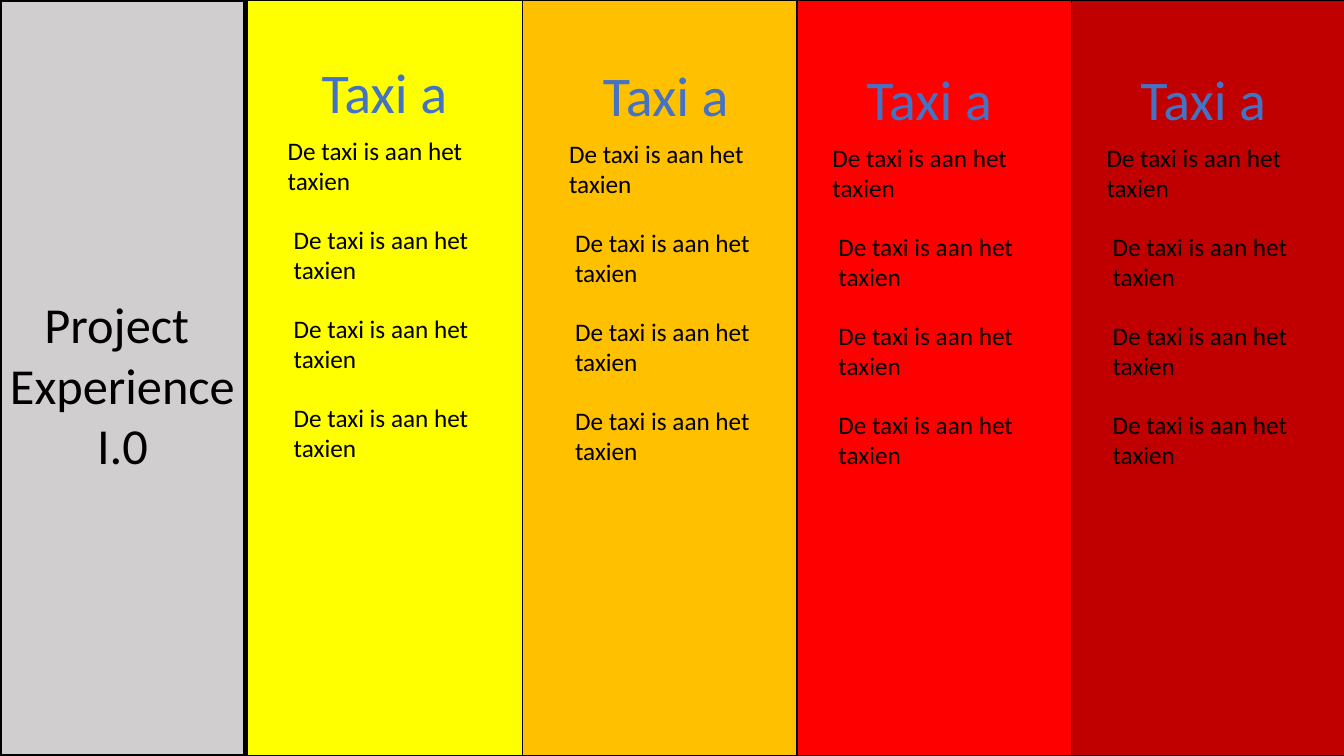
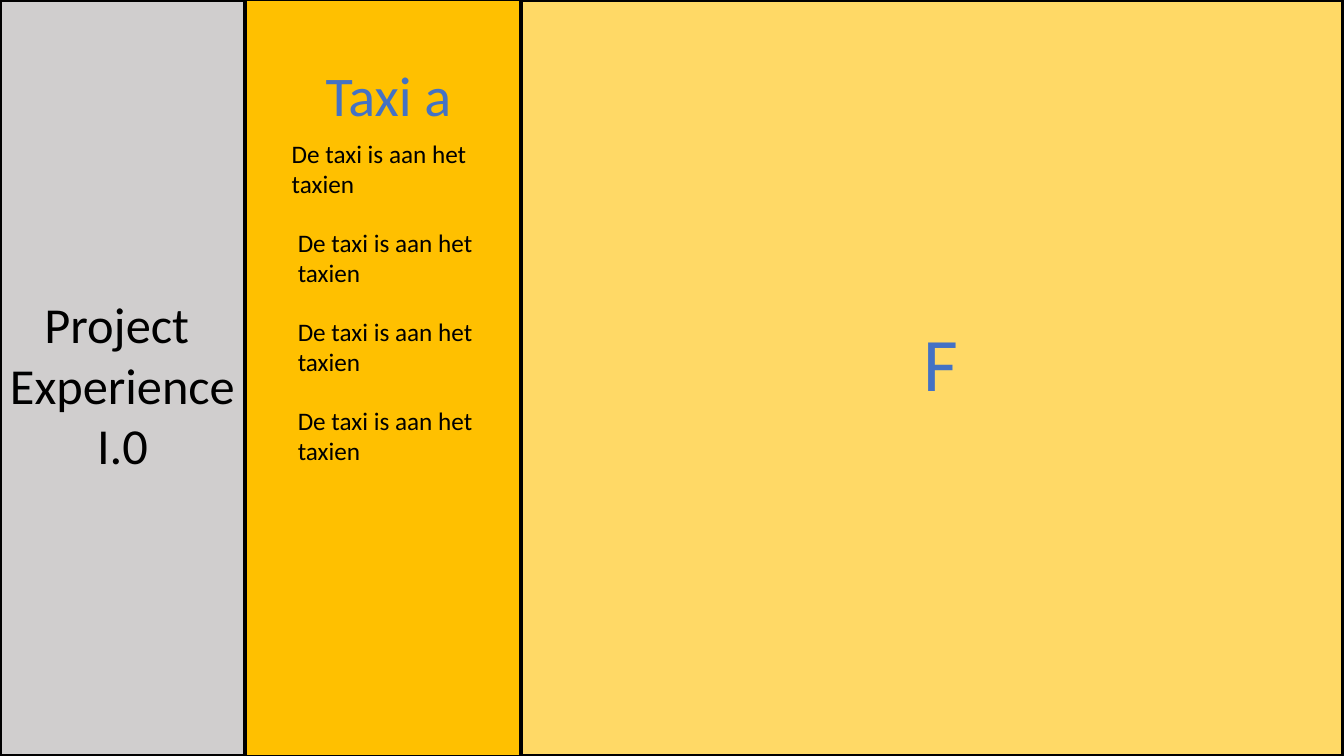
"""Build a two-slide deck of coloured taxi columns beside a project title."""
from dataclasses import dataclass

from pptx import Presentation
from pptx.dml.color import RGBColor
from pptx.enum import shapes, text
from pptx.util import Pt


@dataclass(frozen=True)
class Theme:
    font: str = "Calibri"
    ink: str = "000000"
    accent: str = "4472C4"
    backdrop_edge: str = "325491"
    sidebar: str = "D0CECE"
    panel: str = "FFD966"
    yellow: str = "FFFF00"
    orange: str = "FFC000"
    red: str = "FF0000"
    dark_red: str = "C00000"
    item_size: float = 18
    title_size: float = 36
    heading_size: float = 40
    letter_size: float = 54
    thin: float = 1
    thick: float = 2.25


THEME = Theme()
WIDTH, HEIGHT = 960, 540
BAND_WIDTH, BAND_STEP = 196.5, 196.1
SIDEBAR_WIDTH = 175
PANEL_LEFT, PANEL_WIDTH = 372.4, 586.8
HEADING_WIDTH, HEADING_HEIGHT = 235.4, 55.7
ITEM_WIDTH, ITEM_HEIGHT, ITEM_STEP = 154.8, 50.9, 63.5
ITEM_INDENTS = (41.5, 45.8, 45.8, 45.8)

PROJECT = ("Project ", "Experience", "I.0")
HEADING = "Taxi a"
ITEM = "De taxi is aan het taxien"
LETTER = "F"

YELLOW = dict(fill=THEME.yellow, shift=-20.1, top=37.4)
ORANGE = dict(fill=THEME.orange, shift=-15.2, top=39.7)
RED = dict(fill=THEME.red, shift=-23.2, top=42.3)
DARK_RED = dict(fill=THEME.dark_red, shift=-23.5, top=42.3)

SLIDES = (
    dict(columns=(YELLOW, ORANGE, RED, DARK_RED), left=177, letter=None),
    dict(columns=(ORANGE,), left=175, letter=LETTER),
)


def add_block(parent, left, width, fill, line=THEME.ink, weight=THEME.thin):
    block = parent.add_shape(
        shapes.MSO_SHAPE.RECTANGLE, Pt(left), 0, Pt(width), Pt(HEIGHT))
    block.shadow.inherit = False
    block.fill.solid()
    block.fill.fore_color.rgb = RGBColor.from_string(fill)
    block.line.color.rgb = RGBColor.from_string(line)
    block.line.width = Pt(weight)


def add_text(parent, lines, box, size, color=THEME.ink, centered=True, wrap=True):
    frame = parent.add_textbox(*map(Pt, box)).text_frame
    frame.word_wrap = wrap
    frame.auto_size = text.MSO_AUTO_SIZE.SHAPE_TO_FIT_TEXT
    for index, line in enumerate(lines):
        paragraph = frame.add_paragraph() if index else frame.paragraphs[0]
        paragraph.alignment = text.PP_ALIGN.CENTER if centered else text.PP_ALIGN.LEFT
        run = paragraph.add_run()
        run.text = line
        run.font.name = THEME.font
        run.font.size = Pt(size)
        run.font.color.rgb = RGBColor.from_string(color)


def add_column(slide, left, fill, shift, top):
    column = slide.shapes.add_group_shape().shapes
    add_block(column, left, BAND_WIDTH, fill)
    heading_left = left + shift
    add_text(column, [HEADING], (heading_left, top, HEADING_WIDTH, HEADING_HEIGHT),
             THEME.heading_size, color=THEME.accent)
    for row, indent in enumerate(ITEM_INDENTS):
        item_top = top + HEADING_HEIGHT + row * ITEM_STEP
        add_text(column, [ITEM], (heading_left + indent, item_top, ITEM_WIDTH, ITEM_HEIGHT),
                 THEME.item_size, centered=False)


def add_sidebar(slide):
    add_block(slide.shapes, 0, SIDEBAR_WIDTH, THEME.sidebar, weight=THEME.thick)
    add_text(slide.shapes, PROJECT, (-0.7, 205.9, 176.4, 138.2),
             THEME.title_size, wrap=False)


def add_panel(slide, letter):
    panel = slide.shapes.add_group_shape().shapes
    add_block(panel, PANEL_LEFT, PANEL_WIDTH, THEME.panel, weight=THEME.thick)
    add_text(panel, [letter], (652.3, 221.8, 39.6, 72.7),
             THEME.letter_size, color=THEME.accent, wrap=False)


def main():
    deck = Presentation()
    deck.slide_width, deck.slide_height = Pt(WIDTH), Pt(HEIGHT)
    for content in SLIDES:
        slide = deck.slides.add_slide(deck.slide_layouts[6])
        add_block(slide.shapes, -5, WIDTH + 5, THEME.ink, line=THEME.backdrop_edge)
        for index, column in enumerate(content["columns"]):
            add_column(slide, content["left"] + index * BAND_STEP, **column)
        add_sidebar(slide)
        if content["letter"]:
            add_panel(slide, content["letter"])
    deck.save("out.pptx")


if __name__ == "__main__":
    main()
